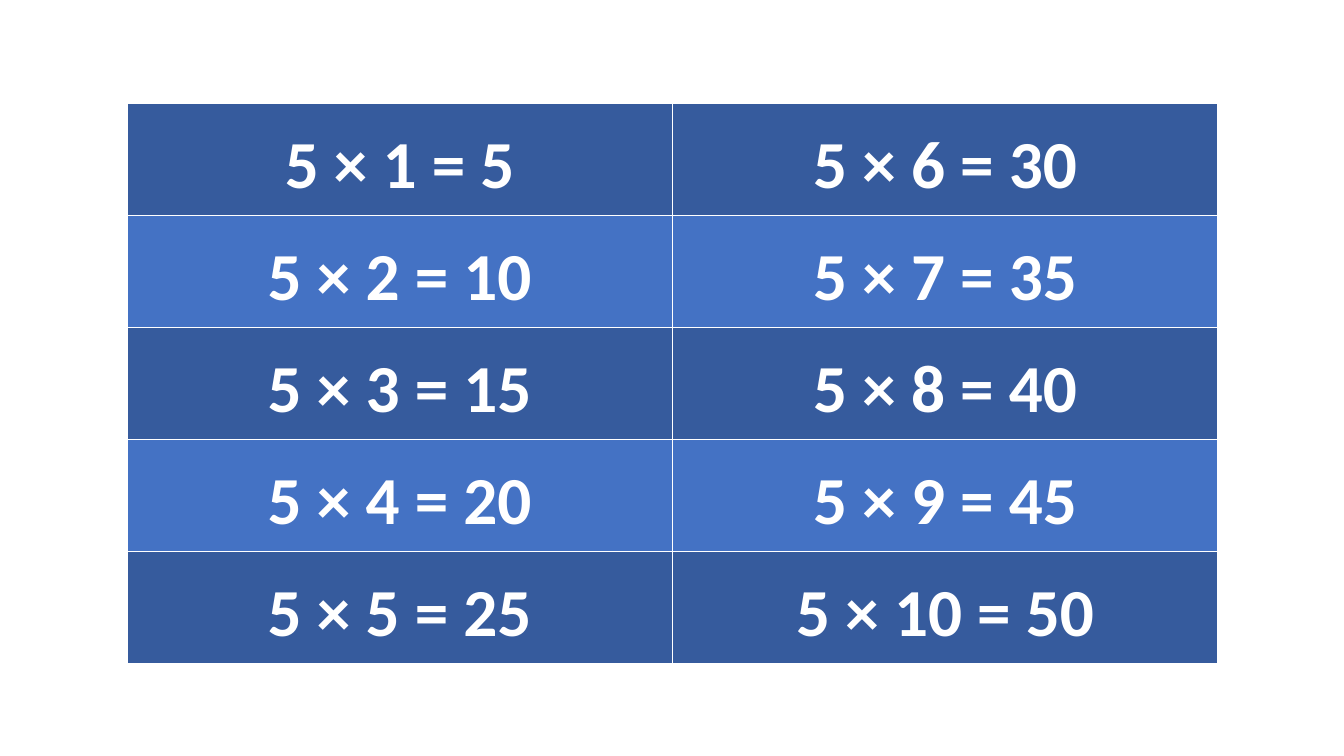
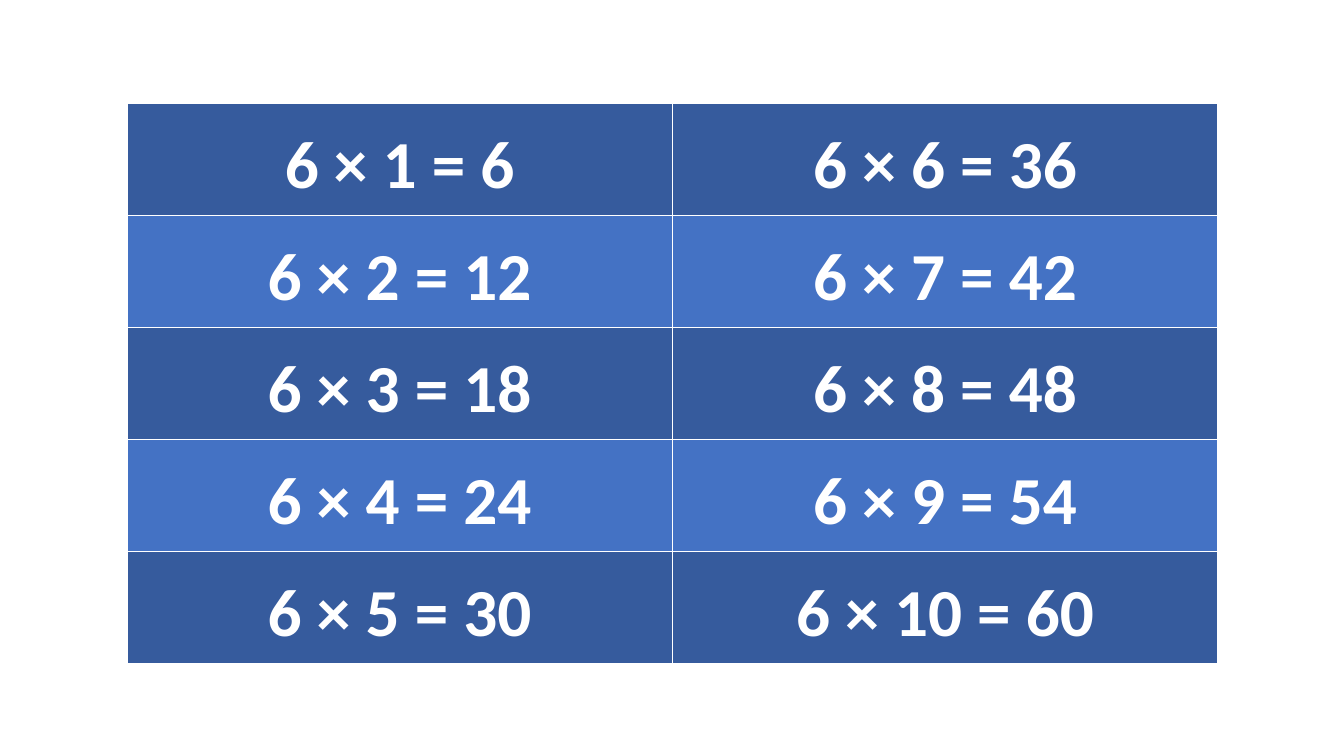
"""Build two slides with the multiplication tables of five and six."""
from pptx import Presentation
from pptx.dml.color import RGBColor
from pptx.enum.text import MSO_ANCHOR, PP_ALIGN
from pptx.util import Inches, Pt

MIDDLE = MSO_ANCHOR.MIDDLE
CENTER = PP_ALIGN.CENTER
WHITE = RGBColor(0xFF, 0xFF, 0xFF)
DARK_BLUE = RGBColor(0x36, 0x5B, 0x9D)
BLUE = RGBColor(0x44, 0x72, 0xC4)
BANDS = (DARK_BLUE, BLUE)

ROWS, COLUMNS = 5, 2
LEFT, TOP = Inches(1.26), Inches(1.03)
COLUMN_WIDTH, ROW_HEIGHT = Inches(5.41), Inches(1.11)

CELL_FORMAT = {
    "vertical_anchor": MIDDLE,
    "margin_left": Inches(0.07),
    "margin_right": Inches(0.07),
    "margin_top": 0,
    "margin_bottom": 0,
}
PARAGRAPH_FORMAT = {
    "alignment": CENTER,
    "line_spacing": 1.15,
    "space_before": Pt(42),
    "space_after": Pt(36),
}
FONT_FORMAT = {"name": "Calibri", "size": Pt(48), "bold": True}


def apply_format(target, values):
    """Set each named attribute of the target."""
    for name, value in values.items():
        setattr(target, name, value)


def fill_cell(cell, text, color):
    """Write one styled line of text in a cell with a solid fill."""
    apply_format(cell, CELL_FORMAT)
    cell.fill.solid()
    cell.fill.fore_color.rgb = color
    para = cell.text_frame.paragraphs[0]
    apply_format(para, PARAGRAPH_FORMAT)
    span = para.add_run()
    span.text = text
    apply_format(span.font, FONT_FORMAT)
    span.font.color.rgb = WHITE


def add_times_table(page, number):
    """Add the products of a number, counted down each column in turn."""
    frame = page.shapes.add_table(
        ROWS, COLUMNS, LEFT, TOP, COLUMNS * COLUMN_WIDTH, ROWS * ROW_HEIGHT
    )
    table = frame.table
    for row in range(ROWS):
        for column in range(COLUMNS):
            factor = column * ROWS + row + 1
            text = f"{number} × {factor} = {number * factor}"
            fill_cell(table.cell(row, column), text, BANDS[row % len(BANDS)])


def main():
    """Build and save the deck."""
    deck = Presentation()
    deck.slide_width, deck.slide_height = Inches(13.33), Inches(7.5)
    blank = deck.slide_layouts[6]
    for number in (5, 6):
        add_times_table(deck.slides.add_slide(blank), number)
    deck.save("out.pptx")


if __name__ == "__main__":
    main()
